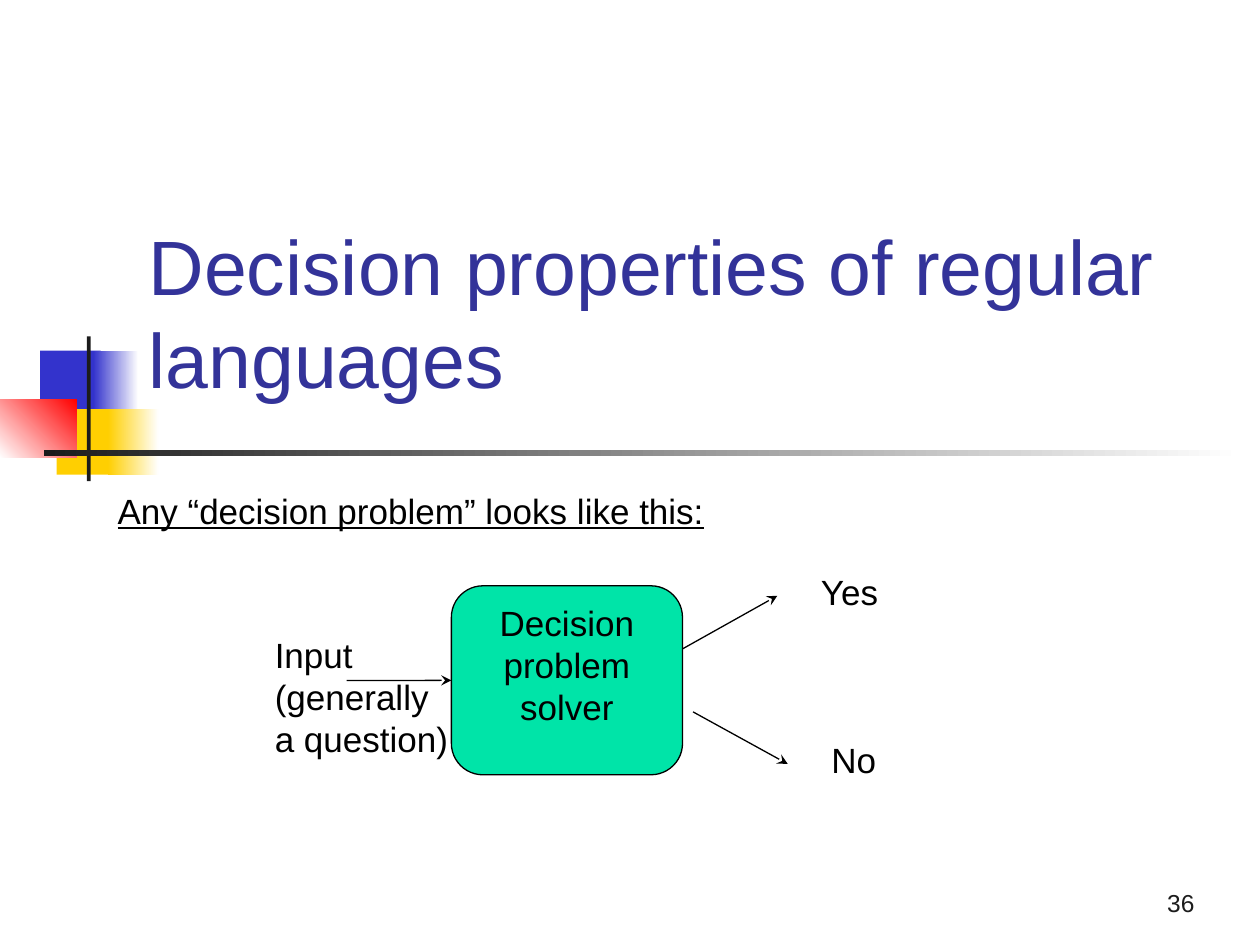
from lxml import etree
from pptx import Presentation
from pptx import util as u
from pptx.dml.color import RGBColor
from pptx.enum import shapes as s, text as t
from pptx.oxml import ns

BLACK = RGBColor(0x00, 0x00, 0x00)
WHITE = RGBColor(0xFF, 0xFF, 0xFF)
DARK = RGBColor(0x1C, 0x1C, 0x1C)
BLUE = RGBColor(0x33, 0x33, 0xCC)
NAVY = RGBColor(0x33, 0x33, 0x99)
GOLD = RGBColor(0xFF, 0xCF, 0x01)
RED = RGBColor(0xFF, 0x00, 0x00)
GREEN = RGBColor(0x00, 0xE4, 0xA8)


def write(frame, words, size=20, color=BLACK, align=t.PP_ALIGN.LEFT,
          anchor=t.MSO_ANCHOR.TOP, wrap=True, line=False):
    """Put one formatted paragraph in a text frame."""
    frame.word_wrap = wrap
    frame.auto_size = t.MSO_AUTO_SIZE.NONE
    frame.vertical_anchor = anchor
    para = frame.paragraphs[0]
    para.text = words
    para.alignment = align
    for run in para.runs:
        run.font.name = "Arial"
        run.font.size = u.Pt(size)
        run.font.color.rgb = color
        run.font.underline = line


class Deck:
    """Holds the line style and the current slide."""

    def __init__(self, slide, ink=BLACK, width=0.75):
        self.slide = slide
        self.ink = ink
        self.width = u.Pt(width)

    def title(self, words, *box, **style):
        head = self.slide.shapes.title
        head.left, head.top, head.width, head.height = map(u.Cm, box)
        write(head.text_frame, words, **style)

    def label(self, words, *box, **style):
        area = self.slide.shapes.add_textbox(*map(u.Cm, box))
        write(area.text_frame, words, **style)

    def block(self, *box, fill, end=None, angle=0, kind=s.MSO_SHAPE.RECTANGLE):
        """Borderless shape; a second colour makes the fill a gradient."""
        item = self.slide.shapes.add_shape(kind, *map(u.Cm, box))
        item.shadow.inherit = False
        item.line.fill.background()
        if end is None:
            item.fill.solid()
            item.fill.fore_color.rgb = fill
        else:
            item.fill.gradient()
            item.fill.gradient_angle = angle
            for stop, color, place in zip(item.fill.gradient_stops, (fill, end), (0, 1)):
                stop.color.rgb = color
                stop.position = place
        return item

    def node(self, words, *box, fill):
        item = self.block(*box, fill=fill, kind=s.MSO_SHAPE.ROUNDED_RECTANGLE)
        item.line.color.rgb = self.ink
        item.line.width = self.width
        write(item.text_frame, words, align=t.PP_ALIGN.CENTER)
        return item

    def arrow(self, *ends, goal=None, side=1):
        link = self.slide.shapes.add_connector(s.MSO_CONNECTOR.STRAIGHT, *map(u.Cm, ends))
        if goal is not None:
            link.end_connect(goal, side)
        link.line.color.rgb = self.ink
        link.line.width = self.width
        etree.SubElement(link.line._get_or_add_ln(), ns.qn("a:tailEnd"), type="stealth")
        etree.SubElement(link._element.spPr, ns.qn("a:effectLst"))


def main():
    show = Presentation()
    show.slide_width, show.slide_height = u.Cm(25.4), u.Cm(19.05)
    deck = Deck(show.slides.add_slide(show.slide_layouts[5]))

    # Corner ornament: each pair is a solid square and its fade
    for color, top, left, wide, fade, span in (
            (BLUE, 7.07, 0.81, 1.22, 1.88, 0.91),
            (GOLD, 8.25, 1.14, 1.17, 2.18, 1.02)):
        deck.block(left, top, wide, 1.32, fill=color)
        deck.block(fade, top, span, 1.32, fill=color, end=WHITE)
    deck.block(0, 8.05, 1.55, 1.17, fill=WHITE, end=RED, angle=45)
    deck.block(1.75, 6.78, 0.08, 2.92, fill=DARK)
    deck.block(0.89, 9.07, 24.13, 0.13, fill=DARK, end=WHITE)

    # Title and page number
    deck.title("Decision properties of regular languages", 2.74, 5.08, 21.59, 3.18,
               size=44, color=NAVY, anchor=t.MSO_ANCHOR.BOTTOM)
    deck.label("36", 19.05, 17.35, 5.28, 1.27, size=14, color=DARK,
               align=t.PP_ALIGN.RIGHT, anchor=t.MSO_ANCHOR.BOTTOM)

    # Solver with its input and two answers
    box = deck.node("Decision problem solver", 9.1, 11.81, 4.66, 3.81, fill=GREEN)
    deck.arrow(6.99, 13.72, 9.1, 13.72, goal=box)
    deck.arrow(13.76, 13.08, 15.67, 12.01)
    deck.arrow(13.97, 14.35, 15.88, 15.4)
    for words, *place in (
            ("Input\n(generally\na question)", 5.29, 12.65, 4.04, 2.82),
            ("Yes", 16.3, 11.38, 1.68, 1.12),
            ("No", 16.51, 14.76, 1.42, 1.12)):
        deck.label(words, *place, wrap=False)

    # Lead sentence
    deck.label("Any “decision problem” looks like this:", 2.12, 9.74, 12.42, 1.12,
               wrap=False, line=True)

    show.save("out.pptx")


if __name__ == "__main__":
    main()
